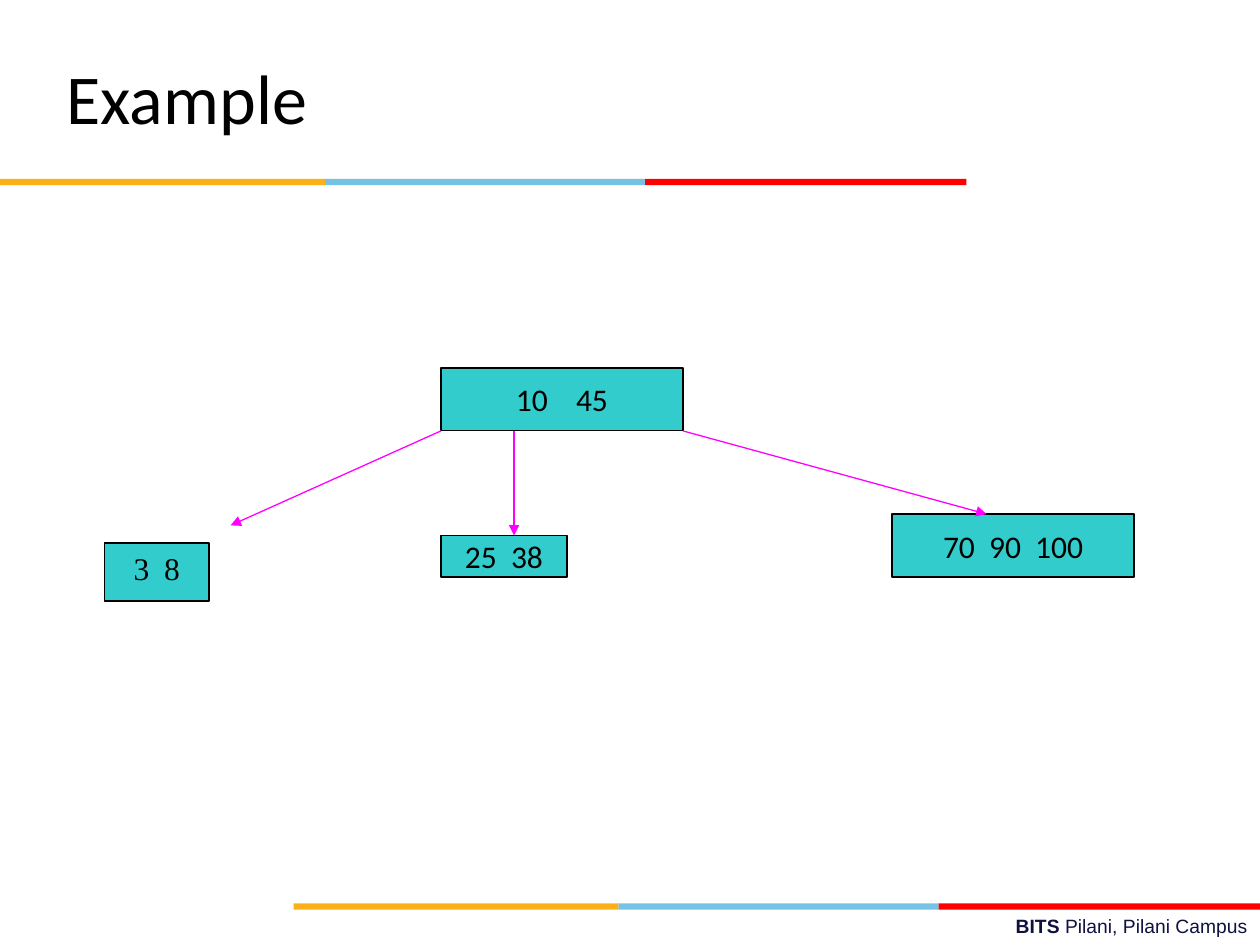
from typing import NamedTuple

from lxml.etree import SubElement
from pptx import Presentation
from pptx.dml.color import RGBColor
from pptx.enum.shapes import MSO_CONNECTOR, MSO_SHAPE
from pptx.enum.text import MSO_ANCHOR, PP_ALIGN
from pptx.oxml.ns import qn
from pptx.util import Inches, Pt

COLORS = {
    "black": "000000", "navy": "101141", "node": "33CCCC", "arrow": "FF00FF",
    "gold": "FCB017", "sky": "76C2E5", "red": "FF0000",
}


class Node(NamedTuple):
    keys: tuple[str, ...]
    left: float
    top: float
    width: float
    height: float
    gap: float = 4  # points added to the space between keys
    font: str = "Calibri"
    anchor: MSO_ANCHOR = MSO_ANCHOR.MIDDLE
    wrap: bool = False


class Arrow(NamedTuple):
    start: tuple[float, float]
    end: tuple[float, float]


NODES = [
    Node(("10", "45"), 3.5, 2.92, 1.92, 0.5, gap=12),
    Node(("3", "8"), 0.83, 4.31, 0.83, 0.46, font="Times New Roman",
         anchor=MSO_ANCHOR.TOP, wrap=True),
    Node(("25", "38"), 3.5, 4.25, 1, 0.33),
    Node(("70", "90", "100"), 7.08, 4.08, 1.92, 0.5),
]
ARROWS = [
    Arrow((3.5, 3.42), (1.83, 4.17)),
    Arrow((4.08, 3.42), (4.08, 4.25)),
    Arrow((5.42, 3.42), (7.83, 4.08)),
]
STRIPES = [("gold", 2.58), ("sky", 2.54), ("red", 2.55)]


def color(name: str) -> RGBColor:
    return RGBColor.from_string(COLORS[name])


def add_text(para, text: str, *, size: float, font: str = "Calibri",
             ink: str = "black", bold: bool = False, spacing: float = 0) -> None:
    span = para.add_run()
    span.text = text
    span.font.size = Pt(size)
    span.font.name = font
    span.font.bold = bold
    span.font.color.rgb = color(ink)
    if spacing:
        span.font._element.set("spc", str(round(spacing * 100)))


def add_box(slide, left: float, top: float, width: float, height: float, fill: str):
    box = slide.shapes.add_shape(MSO_SHAPE.RECTANGLE, Inches(left), Inches(top),
                                 Inches(width), Inches(height))
    box.shadow.inherit = False
    box.fill.solid()
    box.fill.fore_color.rgb = color(fill)
    box.line.fill.background()
    return box


def draw_stripes(slide, left: float, top: float) -> None:
    for fill, width in STRIPES:
        add_box(slide, left, top, width, 0.05, fill)
        left += width


def draw_node(slide, node: Node) -> None:
    box = add_box(slide, node.left, node.top, node.width, node.height, "node")
    box.line.color.rgb = color("black")
    box.line.width = Pt(0.75)
    frame = box.text_frame
    frame.word_wrap = node.wrap
    frame.vertical_anchor = node.anchor
    para = frame.paragraphs[0]
    para.alignment = PP_ALIGN.CENTER
    for index, key in enumerate(node.keys):
        if index:
            add_text(para, " ", size=18, font=node.font, spacing=node.gap)
        add_text(para, key, size=18, font=node.font)


def draw_arrow(slide, arrow: Arrow) -> None:
    points = [Inches(value) for value in arrow.start + arrow.end]
    line = slide.shapes.add_connector(MSO_CONNECTOR.STRAIGHT, *points)
    line.line.color.rgb = color("arrow")
    line.line.width = Pt(0.75)
    SubElement(line.line._get_or_add_ln(), qn("a:tailEnd"), type="triangle")
    SubElement(line._element.spPr, qn("a:effectLst"))


def main() -> None:
    deck = Presentation()
    deck.slide_width, deck.slide_height = Inches(10), Inches(7.5)
    slide = deck.slides.add_slide(deck.slide_layouts[5])

    # Footer and coloured stripes
    footer = slide.shapes.add_textbox(Inches(3.58), Inches(7.21), Inches(6.42), Inches(0.29))
    footer.text_frame.word_wrap = True
    para = footer.text_frame.paragraphs[0]
    para.alignment = PP_ALIGN.RIGHT
    add_text(para, "BITS ", size=11, font="Arial", ink="navy", bold=True)
    add_text(para, "Pilani, Pilani Campus", size=11, font="Arial", ink="navy")
    draw_stripes(slide, 2.33, 7.17)
    draw_stripes(slide, 0, 1.42)

    # Title
    title = slide.shapes.title
    title.left, title.top = Inches(0.43), Inches(0.3)
    title.width, title.height = Inches(6.69), Inches(0.93)
    title.text_frame.vertical_anchor = MSO_ANCHOR.MIDDLE
    para = title.text_frame.paragraphs[0]
    para.alignment = PP_ALIGN.LEFT
    add_text(para, "Example", size=40)

    # Search tree
    for node in NODES:
        draw_node(slide, node)
    for arrow in ARROWS:
        draw_arrow(slide, arrow)

    deck.save("out.pptx")


if __name__ == "__main__":
    main()
